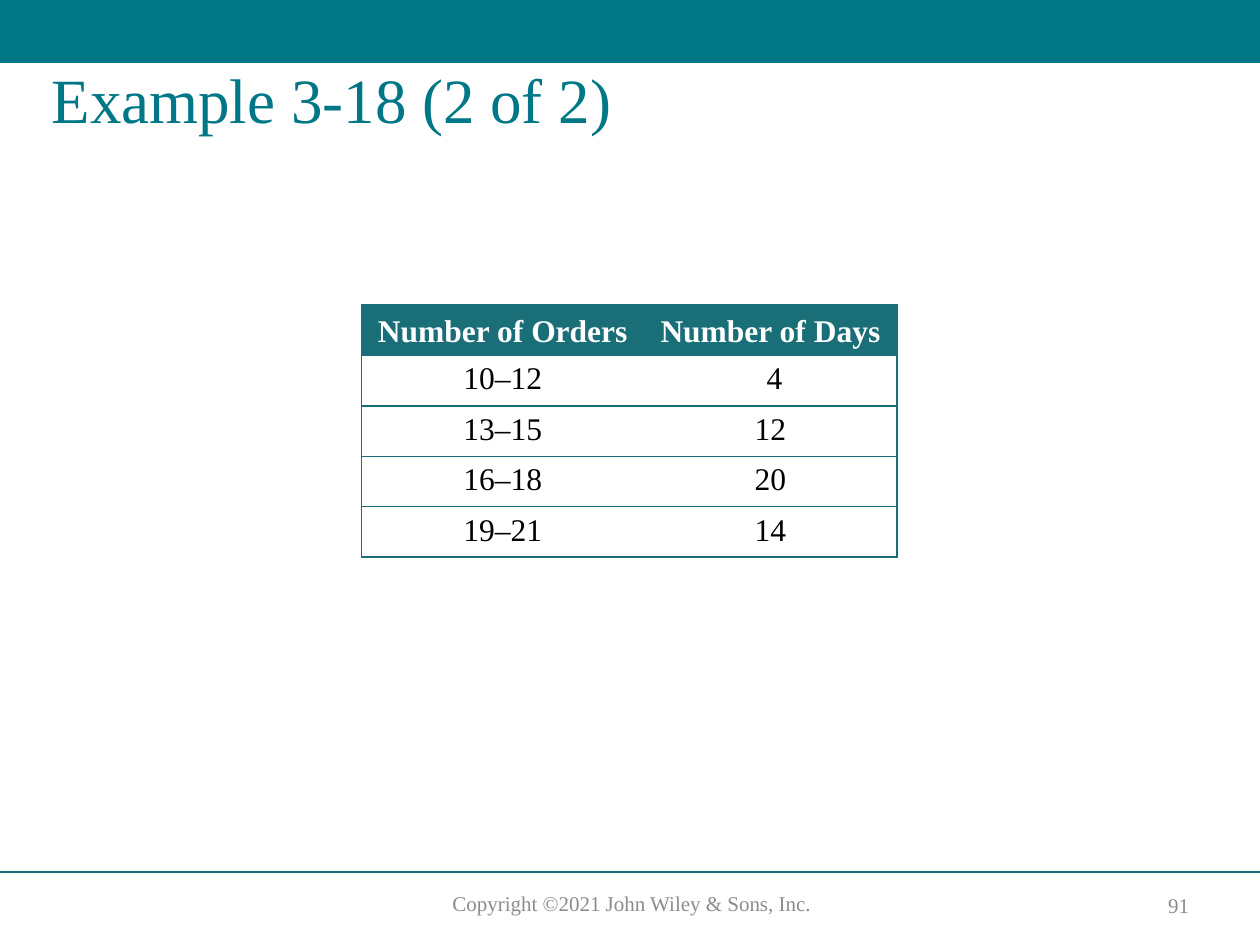
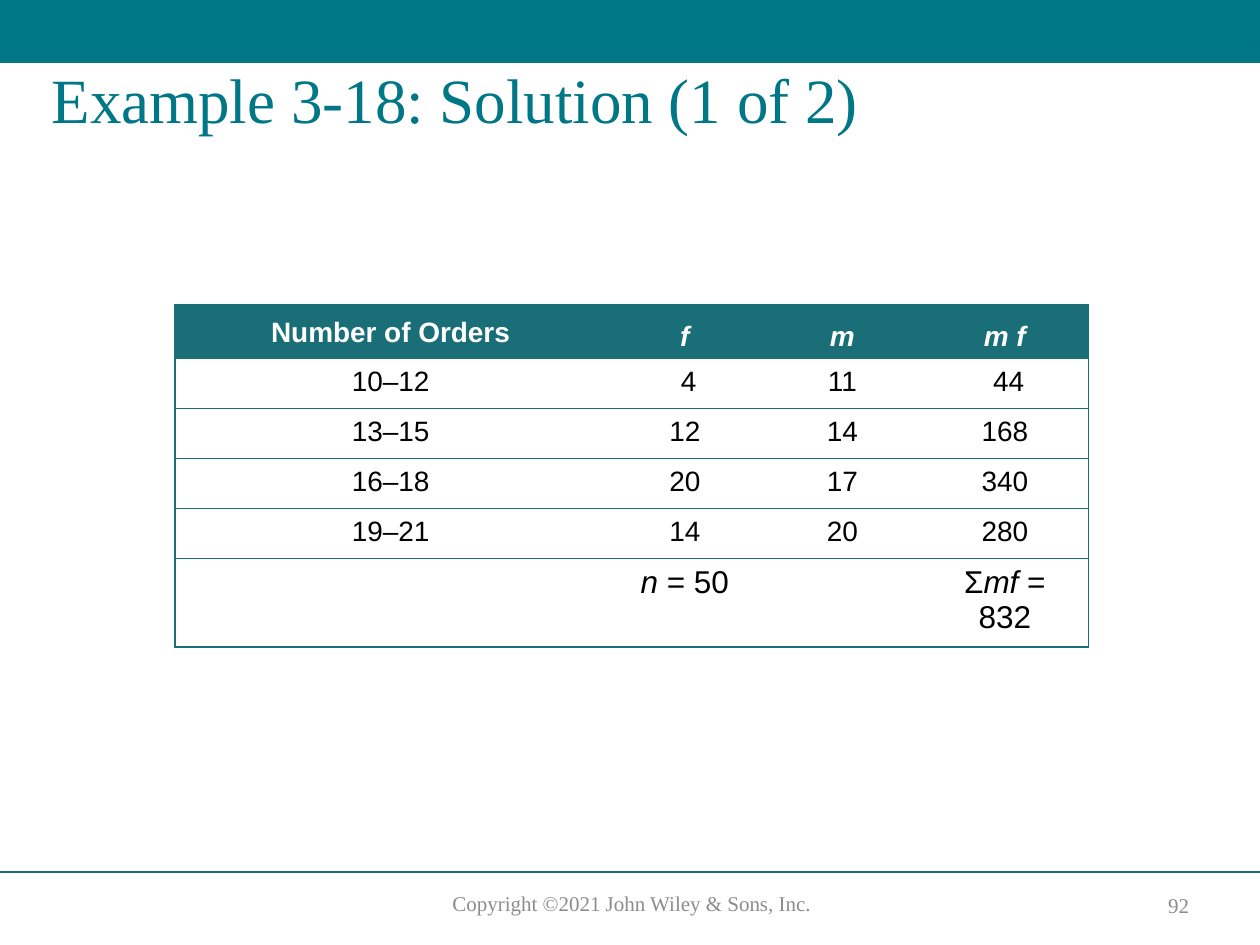
"""Build two slides on grouped data: the order counts and the worked mean table."""
import dataclasses

import lxml.etree
import pptx
import pptx.dml.color
import pptx.enum.shapes
import pptx.enum.text
import pptx.oxml.ns
import pptx.util

Inches = pptx.util.Inches
Align = pptx.enum.text.PP_ALIGN
Anchor = pptx.enum.text.MSO_ANCHOR


@dataclasses.dataclass(frozen=True)
class Theme:
    band: str = "007787"
    rule: str = "196E78"
    footer: str = "8C8C8C"
    paper: str = "FFFFFF"
    ink: str = "000000"
    serif: str = "Times New Roman"
    sans: str = "Arial"
    title_size: int = 36
    large_size: int = 18
    small_size: int = 16
    footer_size: int = 12
    line_width: int = 1


@dataclasses.dataclass(frozen=True)
class RowStyle:
    height: float
    size: int
    font: str
    insets: tuple = (0.1, 0.05, 0.1, 0.05)
    header: bool = False


def rgb(value):
    return pptx.dml.color.RGBColor.from_string(value)


def add_element(parent, tag, **attributes):
    return lxml.etree.SubElement(parent, pptx.oxml.ns.qn(tag), attributes)


class SlideBuilder:
    def __init__(self, theme):
        self.theme = theme
        self.deck = pptx.Presentation()
        self.deck.slide_width = Inches(10)
        self.deck.slide_height = Inches(7.5)
        self.page = None

    def start(self, title, number):
        self.page = self.deck.slides.add_slide(self.deck.slide_layouts[5])
        self.band()
        self.rule(6.92)
        self.footer("Copyright ©2021 John Wiley & Sons, Inc.", 3.22, 7.02, 3.59, 0.3, Anchor.TOP)
        self.footer(str(number), 9.05, 7.04, 0.61, 0.28, Anchor.MIDDLE)
        self.title(title)

    def format(self, span, size, color, font, bold=False):
        span.font.size = pptx.util.Pt(size)
        span.font.color.rgb = rgb(color)
        span.font.name = font
        span.font.bold = bold

    def band(self):
        shape = self.page.shapes.add_shape(
            pptx.enum.shapes.MSO_SHAPE.RECTANGLE, 0, 0, self.deck.slide_width, Inches(0.5))
        shape.shadow.inherit = False
        shape.fill.solid()
        shape.fill.fore_color.rgb = rgb(self.theme.band)
        shape.line.fill.background()

    def rule(self, top):
        line = self.page.shapes.add_connector(
            pptx.enum.shapes.MSO_CONNECTOR.STRAIGHT,
            0, Inches(top), self.deck.slide_width, Inches(top))
        line.line.color.rgb = rgb(self.theme.rule)
        line.line.width = pptx.util.Pt(self.theme.line_width)
        add_element(line._element.spPr, "a:effectLst")

    def footer(self, text, left, top, width, height, anchor):
        box = self.page.shapes.add_textbox(Inches(left), Inches(top), Inches(width), Inches(height))
        frame = box.text_frame
        frame.word_wrap = True
        frame.vertical_anchor = anchor
        frame.text = text
        para = frame.paragraphs[0]
        para.alignment = Align.CENTER
        self.format(para.runs[0], self.theme.footer_size, self.theme.footer, self.theme.serif)

    def title(self, text):
        box = self.page.shapes.title
        box.left, box.top, box.width, box.height = map(Inches, (0.31, 0.5, 9.33, 1.25))
        frame = box.text_frame
        frame.word_wrap = True
        frame.auto_size = pptx.enum.text.MSO_AUTO_SIZE.NONE
        frame.vertical_anchor = Anchor.TOP
        frame.text = text
        para = frame.paragraphs[0]
        para.alignment = Align.LEFT
        para.line_spacing = 0.9
        self.format(para.runs[0], self.theme.title_size, self.theme.band, self.theme.serif)

    def table(self, left, top, widths, rows, styles):
        height = sum(style.height for style in styles)
        table = self.page.shapes.add_table(
            len(rows), len(widths), Inches(left), Inches(top),
            Inches(sum(widths)), Inches(height)).table
        table.first_row = table.horz_banding = False
        for column, width in zip(table.columns, widths):
            column.width = Inches(width)
        last = len(widths) - 1
        for row, texts, style in zip(table.rows, rows, styles):
            row.height = Inches(style.height)
            for index, (cell, text) in enumerate(zip(row.cells, texts)):
                self.borders(cell, index == 0, index == last)
                self.cell(cell, text, style)

    def borders(self, cell, is_first, is_last):
        properties = cell._tc.get_or_add_tcPr()
        sides = {"a:lnL": is_first, "a:lnR": is_last, "a:lnT": True, "a:lnB": True}
        for tag, visible in sides.items():
            width = pptx.util.Pt(self.theme.line_width)
            line = add_element(properties, tag, w=str(int(width)))
            if visible:
                add_element(add_element(line, "a:solidFill"), "a:srgbClr", val=self.theme.rule)
            else:
                add_element(line, "a:noFill")

    def cell(self, cell, text, style):
        """Fill one cell; parts of the text between asterisks become italic."""
        cell.fill.solid()
        cell.fill.fore_color.rgb = rgb(self.theme.rule if style.header else self.theme.paper)
        (cell.margin_left, cell.margin_top,
         cell.margin_right, cell.margin_bottom) = map(Inches, style.insets)
        cell.vertical_anchor = Anchor.BOTTOM if style.header else Anchor.TOP
        para = cell.text_frame.paragraphs[0]
        para.alignment = Align.CENTER
        para.space_after = pptx.util.Pt(0 if style.header else 3)
        color = self.theme.paper if style.header else self.theme.ink
        for index, part in enumerate(text.split("*")):
            if part:
                span = para.add_run()
                span.text = part
                self.format(span, style.size, color, style.font, style.header)
                span.font.italic = index % 2 == 1


def order_counts(builder):
    theme = builder.theme
    builder.start("Example 3-18 (2 of 2)", 91)
    header = RowStyle(0.38, theme.large_size, theme.serif, header=True)
    body = dataclasses.replace(header, header=False)
    rows = [
        ("Number of Orders", "Number of Days"),
        ("10–12", " 4"),
        ("13–15", "12"),
        ("16–18", "20"),
        ("19–21", "14"),
    ]
    builder.table(2.87, 2.42, (2.24, 2.01), rows, [header] + [body] * 4)


def solution(builder):
    theme = builder.theme
    builder.start("Example 3-18: Solution (1 of 2)", 92)
    header = RowStyle(0.41, theme.small_size, theme.sans, header=True)
    body = RowStyle(0.37, theme.small_size, theme.sans, (0.08, 0.06, 0.08, 0.07))
    total = RowStyle(0.66, theme.large_size, theme.sans)
    rows = [
        ("Number of Orders", "*f*", "*m*", "*m f*"),
        ("10–12", " 4", "11", " 44"),
        ("13–15", "12", "14", "168"),
        ("16–18", "20", "17", "340"),
        ("19–21", "14", "20", "280"),
        ("", "*n* = 50", "", "Σ*mf* = 832"),
    ]
    builder.table(1.39, 2.42, (3.42, 1.25, 1.25, 1.33), rows, [header] + [body] * 4 + [total])
    table = builder.page.shapes[-1].table
    table.cell(0, 0).margin_left = table.cell(0, 0).margin_right = Inches(0.08)
    table.cell(0, 0).margin_top = table.cell(0, 0).margin_bottom = Inches(0.08)


def main():
    builder = SlideBuilder(Theme())
    order_counts(builder)
    solution(builder)
    builder.deck.save("out.pptx")


if __name__ == "__main__":
    main()
